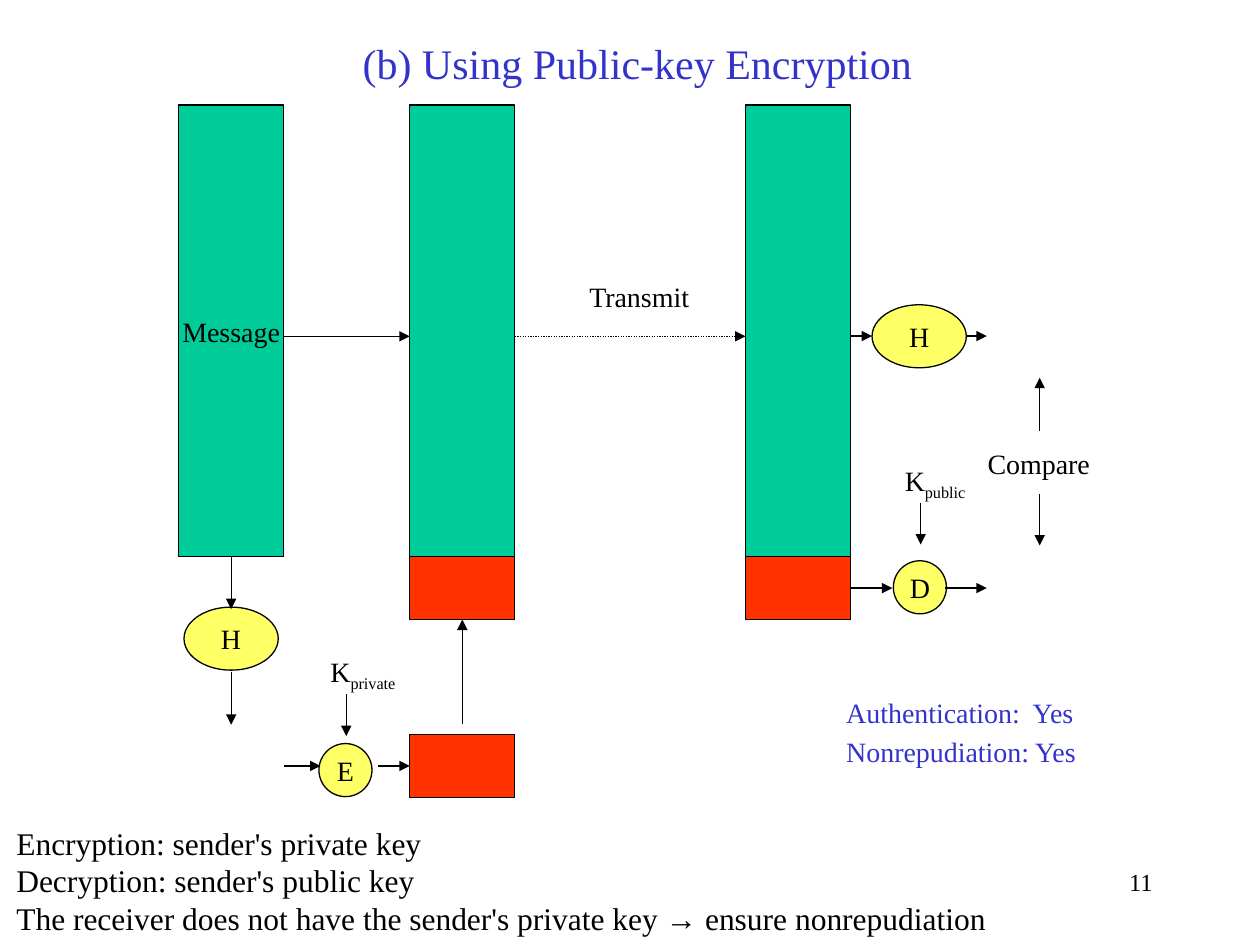
"""Build the slide on message authentication with public-key encryption."""
from dataclasses import dataclass

from lxml.etree import SubElement
from pptx import Presentation
from pptx.dml.color import RGBColor as RGB
from pptx.enum.dml import MSO_LINE_DASH_STYLE as DASH
from pptx.enum.shapes import MSO_CONNECTOR, MSO_SHAPE
from pptx.enum.text import MSO_ANCHOR, MSO_AUTO_SIZE, PP_ALIGN
from pptx.oxml.ns import qn
from pptx.util import Cm, Pt


@dataclass(frozen=True)
class Theme:
    """Colours, type sizes and line width of the slide."""
    font: str = "Times New Roman"
    ink: RGB = RGB(0x00, 0x00, 0x00)
    accent: RGB = RGB(0x33, 0x33, 0xCC)
    message: RGB = RGB(0x00, 0xCC, 0x99)
    signature: RGB = RGB(0xFF, 0x33, 0x00)
    operation: RGB = RGB(0xFF, 0xFF, 0x66)
    title: int = 24
    note: int = 18
    label: int = 16
    number: int = 14
    line: float = 0.75


THEME = Theme()
BLOCK_W, MESSAGE_H, SIGNATURE_H = 2.12, 9.1, 1.27
HASH_W, HASH_H, CIPHER_D = 1.9, 1.27, 1.07
LABEL_H = 0.94
TOP, FLOW_Y = 2.12, 6.78
SENDER_X, SIGNED_X, RECEIVED_X = 3.6, 8.26, 15.03


def style(p, size, color, align=PP_ALIGN.LEFT):
    """Set the font and alignment of a paragraph."""
    p.alignment = align
    p.font.name, p.font.size, p.font.color.rgb = THEME.font, Pt(size), color


def add_text(slide, box, lines, size=THEME.label, color=THEME.ink,
             align=PP_ALIGN.LEFT, gap=0, wrap=False):
    """Add a text box with one paragraph for each line and return it."""
    sp = slide.shapes.add_textbox(*map(Cm, box))
    tf = sp.text_frame
    tf.text = "\n".join(lines)
    tf.word_wrap = wrap
    tf.auto_size = MSO_AUTO_SIZE.NONE if wrap else MSO_AUTO_SIZE.SHAPE_TO_FIT_TEXT
    for i, p in enumerate(tf.paragraphs):
        style(p, size, color, align)
        if i and gap:
            p.space_before = Pt(gap)
    return sp


def add_node(slide, kind, box, fill, text=""):
    """Add an outlined shape with an optional centred label."""
    sp = slide.shapes.add_shape(kind, *map(Cm, box))
    sp.shadow.inherit = False
    sp.fill.solid()
    sp.fill.fore_color.rgb = fill
    sp.line.color.rgb, sp.line.width = THEME.ink, Pt(THEME.line)
    if text:
        tf = sp.text_frame
        tf.text, tf.word_wrap, tf.vertical_anchor = text, False, MSO_ANCHOR.MIDDLE
        style(tf.paragraphs[0], THEME.label, THEME.ink, PP_ALIGN.CENTER)


def add_arrow(slide, x1, y1, x2, y2, dash=None):
    """Add a thin arrow that points at its second end."""
    cx = slide.shapes.add_connector(MSO_CONNECTOR.STRAIGHT, *map(Cm, (x1, y1, x2, y2)))
    cx.line.color.rgb, cx.line.width = THEME.ink, Pt(THEME.line)
    if dash:
        cx.line.dash_style = dash
    SubElement(cx.line._get_or_add_ln(), qn("a:tailEnd"), type="triangle")
    SubElement(cx._element.spPr, qn("a:effectLst"))


def add_message(slide, x, y, text=""):
    """Add a message block."""
    add_node(slide, MSO_SHAPE.RECTANGLE, (x, y, BLOCK_W, MESSAGE_H), THEME.message, text)


def add_signature(slide, x, y):
    """Add a signature block."""
    add_node(slide, MSO_SHAPE.RECTANGLE, (x, y, BLOCK_W, SIGNATURE_H), THEME.signature)


def add_hash(slide, x, y):
    """Add a hash operation."""
    add_node(slide, MSO_SHAPE.OVAL, (x, y, HASH_W, HASH_H), THEME.operation, "H")


def add_cipher(slide, x, y, drop, name, key, key_w):
    """Add a key label with an arrow down to a cipher that lies drop below it."""
    sp = add_text(slide, (x, y, key_w, LABEL_H), ["K"])
    r = sp.text_frame.paragraphs[0].add_run()
    r.text = key
    r._r.get_or_add_rPr().set("baseline", "-25000")
    add_arrow(slide, x + 0.57, y + 0.92, x + 0.57, y + 1.76)
    add_node(slide, MSO_SHAPE.OVAL, (x + 0.02, y + drop, CIPHER_D, CIPHER_D),
             THEME.operation, name)


def add_sender(slide, x, y):
    """Add the message and its hash."""
    mid = x + BLOCK_W / 2
    add_message(slide, x, y, "Message")
    add_hash(slide, mid - HASH_W / 2, y + 10.12)
    for start in (MESSAGE_H, 11.43):
        add_arrow(slide, mid, y + start, mid, y + start + 1.06)


def add_signing(slide, x, y):
    """Add the encryption of the hash into a signature."""
    flow = y + 2.36
    add_cipher(slide, x + 0.69, y, 1.91, "E", "private", 1.98)
    add_signature(slide, x + 2.54, y + 1.73)
    add_arrow(slide, x, flow, x + 0.74, flow)
    add_arrow(slide, x + 1.9, flow, x + 2.54, flow)
    add_arrow(slide, x + 3.6, y + 1.52, x + 3.6, y - 0.59)


def add_signed_message(slide, x, y):
    """Add a message with its signature below."""
    add_message(slide, x, y)
    add_signature(slide, x, y + MESSAGE_H)


def add_transmission(slide, y):
    """Add the flow from the sender to the received message."""
    add_arrow(slide, SENDER_X + BLOCK_W, y, SIGNED_X, y)
    add_arrow(slide, SIGNED_X + BLOCK_W, y, RECEIVED_X, y, DASH.ROUND_DOT)
    add_text(slide, (11.63, y - 1.27, 2.54, LABEL_H), ["Transmit"])


def add_verification(slide, x, y):
    """Add the hash, the decryption and their comparison."""
    add_hash(slide, x + 0.43, y)
    add_cipher(slide, x + 0.84, y + 3.07, 2.09, "D", "public", 1.88)
    flows = ((0.63, 0.43, 2.33), (5.71, 0.84, 1.91))
    for row, enter, leave in flows:
        add_arrow(slide, x, y + row, x + enter, y + row)
        add_arrow(slide, x + leave, y + row, x + 2.74, y + row)
    add_text(slide, (x + 2.51, y + 2.74, 2.59, LABEL_H), ["Compare"])
    for start, end in ((2.54, 1.47), (3.81, 4.85)):
        add_arrow(slide, x + 3.81, y + start, x + 3.81, y + end)


def add_captions(slide):
    """Add the title, the findings, the notes and the slide number."""
    add_text(slide, (7.06, 0.64, 11.68, 1.3), ["(b) Using Public-key Encryption"],
             THEME.title, THEME.accent)
    add_text(slide, (16.81, 13.89, 5.21, 1.75),
             ["Authentication:  Yes", "Nonrepudiation: Yes"],
             color=THEME.accent, gap=3.2)
    add_text(slide, (0.08, 16.48, 20.27, 2.57),
             ["Encryption: sender's private key",
              "Decryption: sender's public key",
              "The receiver does not have the sender's private key → ensure nonrepudiation"],
             THEME.note)
    add_text(slide, (18.21, 17.35, 5.28, 1.27), ["11"], THEME.number,
             align=PP_ALIGN.RIGHT, wrap=True)


def main():
    """Build and save the slide."""
    prs = Presentation()
    prs.slide_width, prs.slide_height = Cm(25.4), Cm(19.05)
    slide = prs.slides.add_slide(prs.slide_layouts[6])
    add_captions(slide)
    add_sender(slide, SENDER_X, TOP)
    for x in (SIGNED_X, RECEIVED_X):
        add_signed_message(slide, x, TOP)
    add_transmission(slide, FLOW_Y)
    add_signing(slide, SENDER_X + BLOCK_W, 13.08)
    add_verification(slide, RECEIVED_X + BLOCK_W, FLOW_Y - HASH_H / 2)
    prs.save("out.pptx")


if __name__ == "__main__":
    main()
